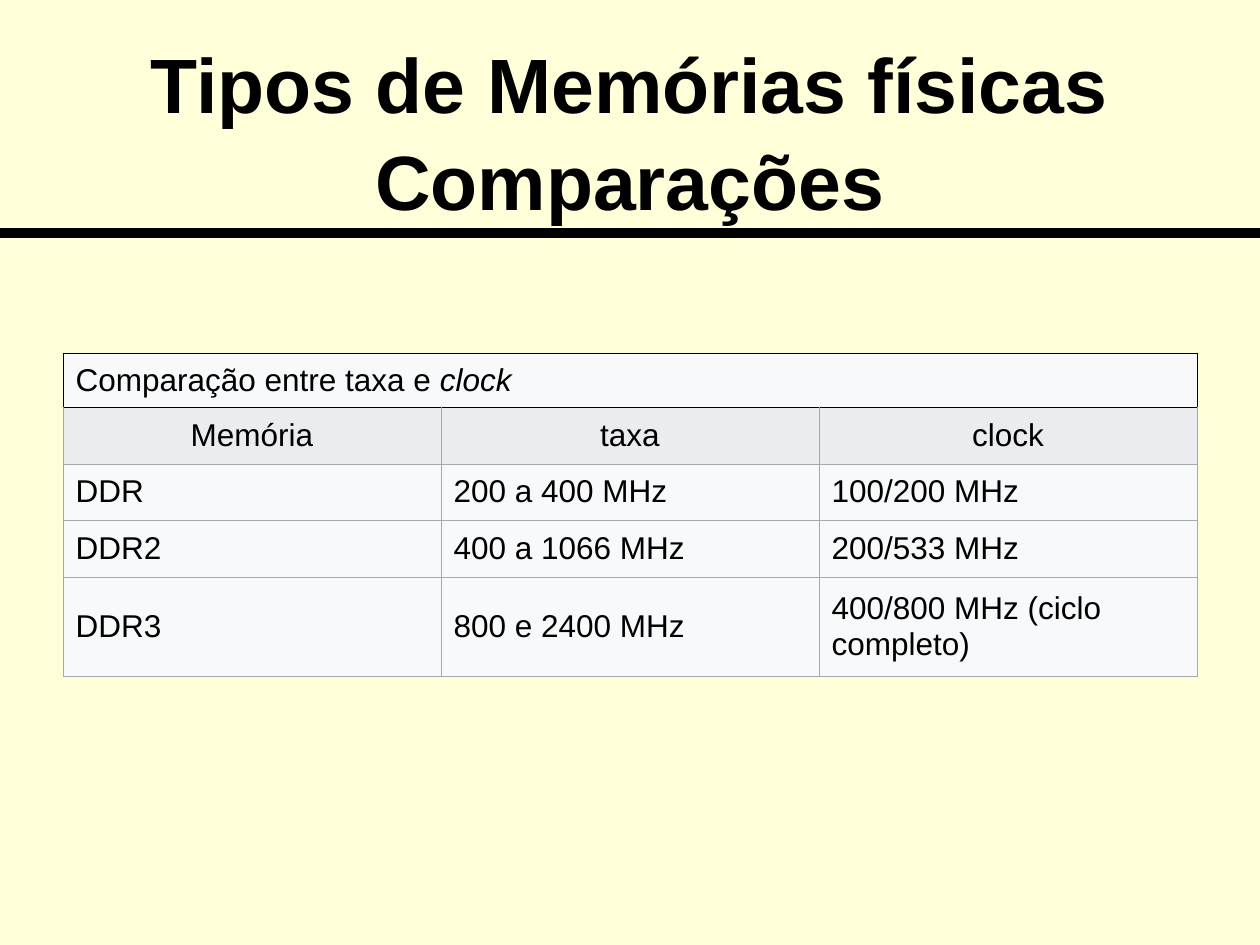
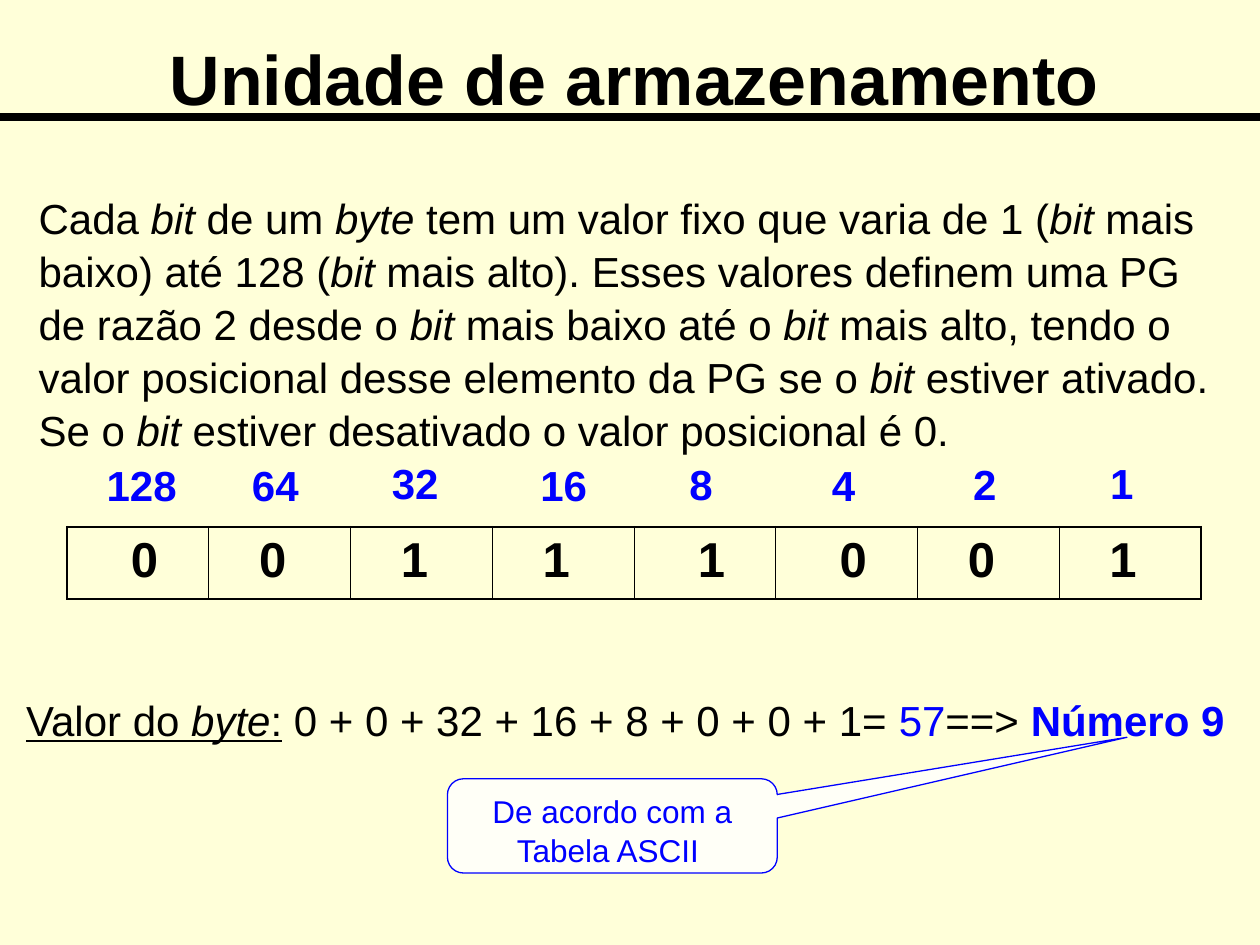
from lxml import etree
from pptx import Presentation
from pptx import util as u
from pptx.dml.color import RGBColor
from pptx.enum import shapes, text
from pptx.oxml.ns import qn

BLACK, BLUE, GRAY = "000000", "0000FF", "A2A9B1"
CREAM, IVORY, PALE, HEADER = "FFFFD9", "FFFFF7", "F8F9FA", "EAECF0"
LEFT, CENTER = text.PP_ALIGN.LEFT, text.PP_ALIGN.CENTER
MIDDLE, TOP = text.MSO_ANCHOR.MIDDLE, text.MSO_ANCHOR.TOP


def rgb(value):
    """Turn a hex string into a colour."""
    return RGBColor.from_string(value)


def box(*lengths):
    """Turn centimetres into lengths."""
    return [u.Cm(n) for n in lengths]


def emphasis(marked):
    """Split text at asterisks into plain and italic runs."""
    return [(t, "i" if i % 2 else "") for i, t in enumerate(marked.split("*")) if t]


class Deck:
    """Hold the style and the current slide."""

    def __init__(self):
        """Start a cream presentation."""
        self.prs = Presentation()
        self.prs.slide_width, self.prs.slide_height = box(25.4, 19.05)
        fill = self.prs.slide_master.background.fill
        fill.solid()
        fill.fore_color.rgb = rgb(CREAM)
        self.s = None

    def add_text(self, tf, runs, size, color=BLACK, align=LEFT, anchor=TOP, spacing=1.05):
        """Fill one paragraph from (text, flags, colour) runs."""
        tf.word_wrap = True
        tf.vertical_anchor = anchor
        p = tf.paragraphs[0]
        p.alignment, p.line_spacing = align, spacing
        for words, flags, *own in runs:
            for i, line in enumerate(words.split("\n")):
                if i:
                    p.add_line_break()
                r = p.add_run()
                r.text = line
                f = r.font
                f.name, f.size = "Arial", u.Pt(size)
                f.bold, f.italic, f.underline = (c in flags for c in "biu")
                f.color.rgb = rgb(own[0] if own else color)

    def slide(self, title, size, place, rule_y, rule_width):
        """Add a slide with its title and rule."""
        self.s = self.prs.slides.add_slide(self.prs.slide_layouts[5])
        sp = self.s.shapes.title
        sp.left, sp.top, sp.width, sp.height = box(*place)
        sp.text_frame.auto_size = text.MSO_AUTO_SIZE.NONE
        self.add_text(sp.text_frame, [(title, "b")], size, align=CENTER, anchor=MIDDLE)
        line = self.s.shapes.add_connector(
            shapes.MSO_CONNECTOR.STRAIGHT, *box(0, rule_y, 25.4, rule_y))
        line.line.color.rgb = rgb(BLACK)
        line.line.width = u.Pt(rule_width)
        etree.SubElement(line._element.spPr, qn("a:effectLst"))

    def label(self, place, runs, size=24, **style):
        """Add a text box."""
        sp = self.s.shapes.add_textbox(*box(*place))
        self.add_text(sp.text_frame, runs, size, **style)

    def callout(self, place, words, adjustments):
        """Add a rounded speech callout."""
        sp = self.s.shapes.add_shape(
            shapes.MSO_SHAPE.ROUNDED_RECTANGULAR_CALLOUT, *box(*place))
        for i, value in enumerate(adjustments):
            sp.adjustments[i] = value
        sp.shadow.inherit = False
        sp.fill.solid()
        sp.fill.fore_color.rgb = rgb(IVORY)
        sp.line.color.rgb = rgb(BLUE)
        sp.line.width = u.Pt(0.75)
        self.add_text(sp.text_frame, [(words, "")], 18, BLUE, CENTER)

    def table(self, place, heights, columns):
        """Add an unstyled table with equal columns."""
        tbl = self.s.shapes.add_table(len(heights), columns, *box(*place)).table
        tbl.first_row = tbl.horz_banding = False
        for row, height in zip(tbl.rows, heights):
            row.height = u.Cm(height)
        return tbl

    def cell(self, cell, runs, size, borders, fill=None, align=LEFT, anchor=TOP):
        """Fill a cell; borders are (colour, points) for left, right, top, bottom."""
        self.add_text(cell.text_frame, runs, size, align=align, spacing=1.0)
        cell.vertical_anchor = anchor
        tcPr = cell._tc.get_or_add_tcPr()
        for side, (color, width) in zip("LRTB", borders):
            ln = etree.SubElement(tcPr, qn(f"a:ln{side}"), w=str(int(u.Pt(width))))
            solid = etree.SubElement(ln, qn("a:solidFill"))
            etree.SubElement(solid, qn("a:srgbClr"), val=color)
        if fill:
            cell.fill.solid()
            cell.fill.fore_color.rgb = rgb(fill)
        else:
            cell.fill.background()


def memory_slide(deck):
    """Build the memory comparison."""
    deck.slide("Tipos de Memórias físicas\nComparações", 44,
               (1.27, 0.76, 22.86, 3.68), 4.7, 6)
    rows = [
        ("Comparação entre taxa e *clock*", "", ""),
        ("Memória", "taxa", "clock"),
        ("DDR", "200 a 400 MHz", "100/200 MHz"),
        ("DDR2", "400 a 1066 MHz", "200/533 MHz"),
        ("DDR3", "800 e 2400 MHz", "400/800 MHz (ciclo completo)"),
    ]
    tbl = deck.table((1.27, 7.13, 22.86, 6.52), [1.08, 1.14, 1.14, 1.14, 2.01], 3)
    tbl.cell(0, 0).merge(tbl.cell(0, 2))
    dark, light = (BLACK, 0.45), (GRAY, 0.34)
    for i, row in enumerate(rows):
        borders = [dark] * 4 if i == 0 else [light, light, dark if i == 1 else light, light]
        for j, words in enumerate(row):
            deck.cell(tbl.cell(i, j), emphasis(words), 18, borders,
                      HEADER if i == 1 else PALE,
                      align=CENTER if i == 1 else LEFT, anchor=MIDDLE)


def byte_slide(deck):
    """Build the explanation of a byte's value."""
    deck.slide("Unidade de armazenamento", 40, (1.35, 0.48, 22.86, 2.08), 2.36, 4.5)
    deck.label((0.53, 3.71, 24.16, 5.33), emphasis(
        "Cada *bit* de um *byte* tem um valor fixo que varia de 1 (*bit* mais baixo) "
        "até 128 (*bit* mais alto). Esses valores definem uma PG de razão 2 desde o "
        "*bit* mais baixo até o *bit* mais alto, tendo o valor posicional desse elemento "
        "da PG se o *bit* estiver ativado. Se o *bit* estiver desativado o valor "
        "posicional é 0."))

    bits = [" 0", "0 ", "1 ", "1 ", " 1", " 0", "0 ", "1 "]
    tbl = deck.table((1.35, 10.62, 22.86, 1.45), [1.45], len(bits))
    thin, thick = (BLACK, 0.45), (BLACK, 1.08)
    for j, bit in enumerate(bits):
        borders = [thin if j else thick, thin if j < len(bits) - 1 else thick, thick, thick]
        deck.cell(tbl.cell(0, j), [(bit, "b")], 28, borders, align=CENTER)

    weights = [(1.9, 9.09), (4.83, 9.09), (7.65, 9.04), (10.59, 9.09),
               (13.36, 9.07), (16.23, 9.09), (19.08, 9.07), (21.84, 9.04)]
    for i, (x, y) in enumerate(weights):
        deck.label((x, y, 1.55 if i else 2.11, 1.27), [(str(2 ** (7 - i)), "b")],
                   color=BLUE, align=LEFT if i < 3 else CENTER)

    deck.label((0.28, 13.82, 24.94, 1.27), [
        ("Valor do ", "u"), ("byte", "ui"), (":", "u"),
        (" 0 + 0 + 32 + 16 + 8 + 0 + 0 + 1= ", ""),
        ("57", "", BLUE), ("==> ", ""), ("Número 9", "b", BLUE)])
    deck.callout((9.02, 15.7, 6.65, 1.9), "De acordo com a Tabela ASCII ",
                 (1.56, -0.94, 0.17))


def main():
    """Build and save the slides."""
    deck = Deck()
    memory_slide(deck)
    byte_slide(deck)
    deck.prs.save("out.pptx")


if __name__ == "__main__":
    main()
